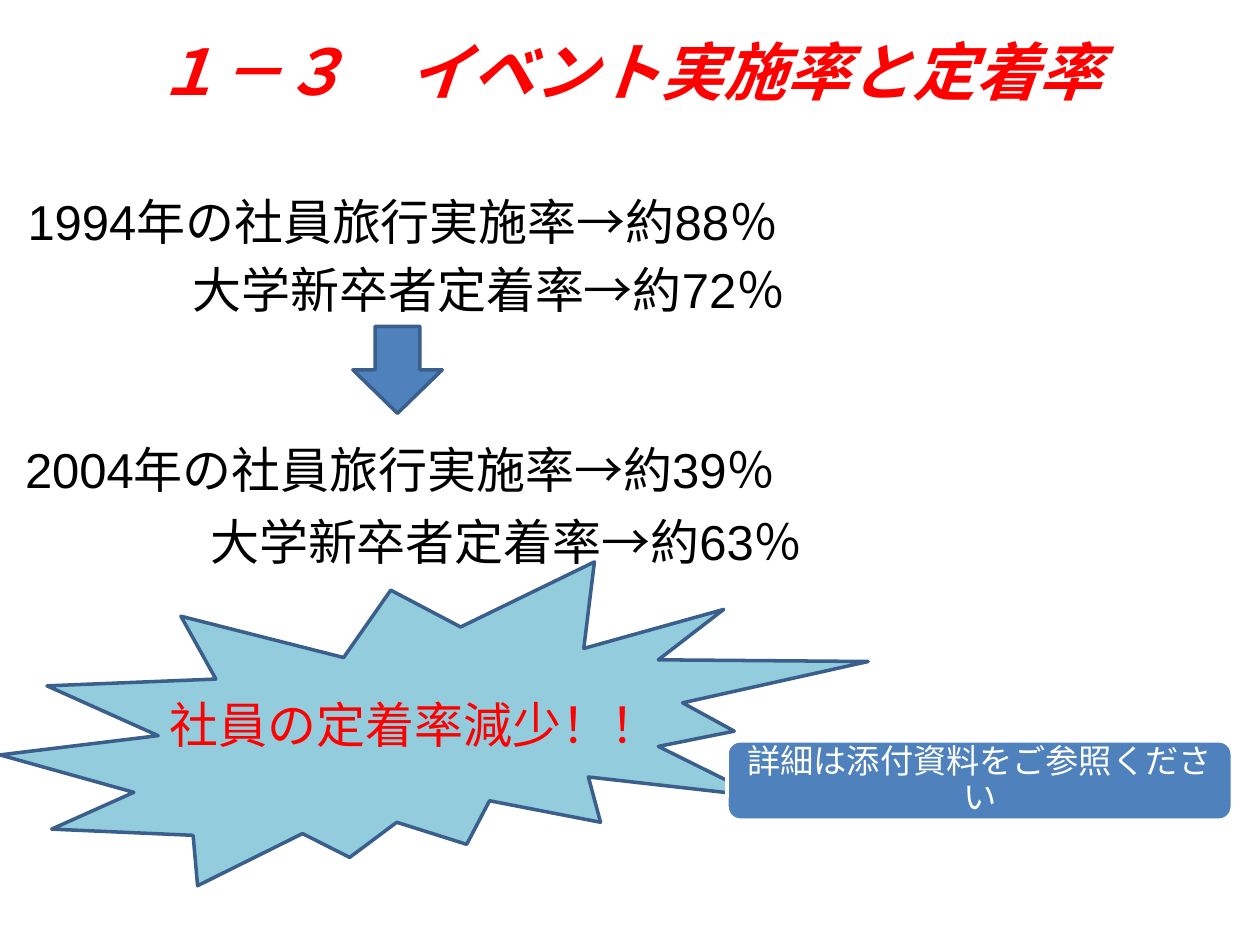
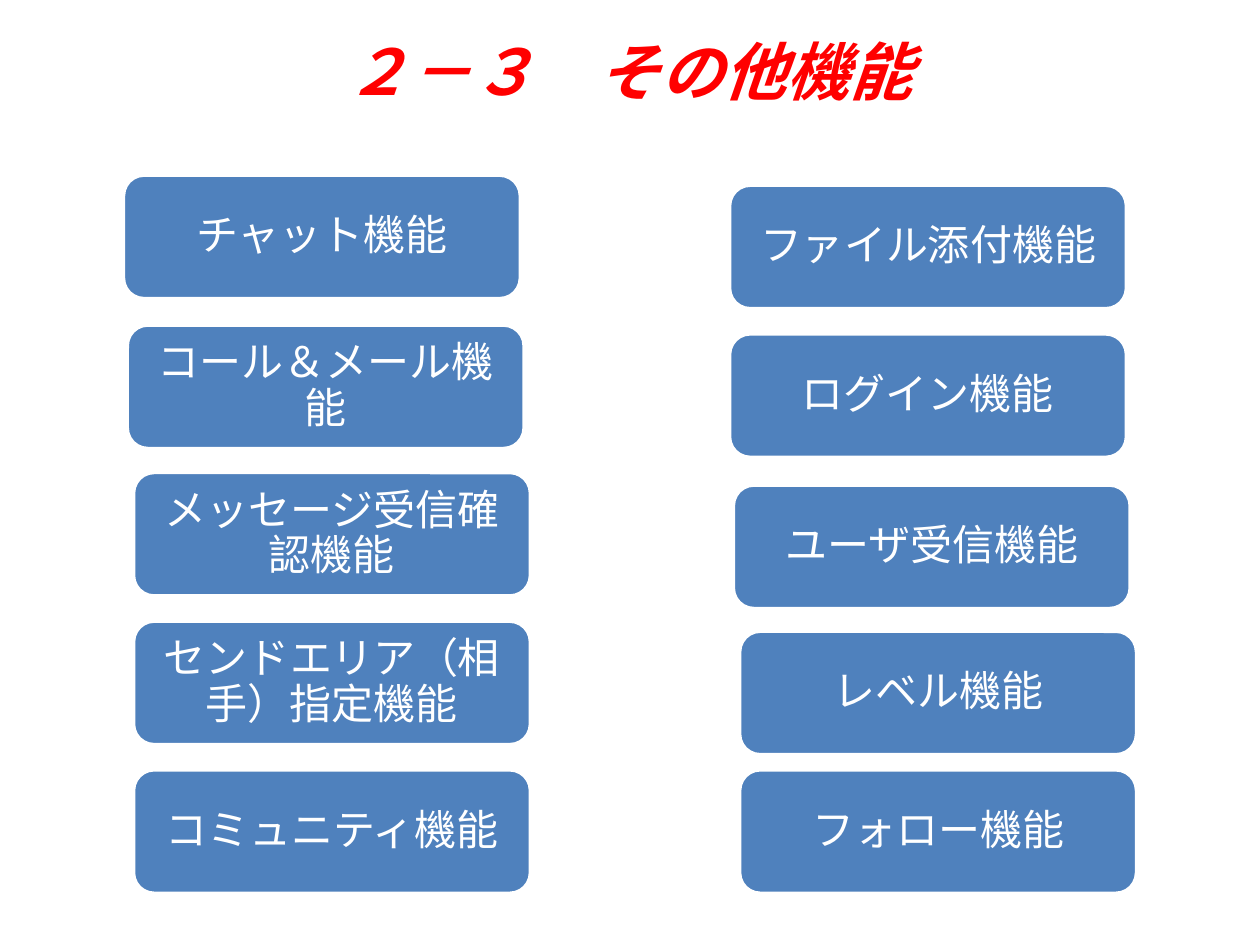
"""Builds two slides on event rates, staff retention and other app features."""
from pptx import Presentation
from pptx import util as u
from pptx.dml.color import RGBColor
from pptx.enum import shapes, text

RED, BLACK, WHITE = "FF0000", "000000", "FFFFFF"
BLUE, DARK_BLUE, AQUA = "4F81BD", "3A5F8C", "93CDDD"
HEADING_FONT, BODY_FONT = "Calibri", "Arial"

EVENT_TITLE = "１－３　イベント実施率と定着率"
RATES = [
    ("1994年の社員旅行実施率→約88％", 0.12, 1.47, 0),
    ("大学新卒者定着率→約72％", 0.13, 2.01, 1.3),
    ("2004年の社員旅行実施率→約39％", 0.1, 3.44, 0),
    ("大学新卒者定着率→約63％", 0.11, 4.01, 1.46),
]
CONCLUSION = "社員の定着率減少！！"
REFERENCE = "詳細は添付資料をご参照ください"

FEATURE_TITLE = "２－３　その他機能"
FEATURES = [
    ("チャット機能", 0.98, 1.39),
    ("コール＆メール機能", 1.01, 2.58),
    ("メッセージ受信確認機能", 1.06, 3.75),
    ("センドエリア（相手）指定機能", 1.06, 4.93),
    ("コミュニティ機能", 1.06, 6.11),
    ("ファイル添付機能", 5.79, 1.47),
    ("ログイン機能", 5.79, 2.65),
    ("ユーザ受信機能", 5.82, 3.85),
    ("レベル機能", 5.87, 5.01),
    ("フォロー機能", 5.87, 6.11),
]
FEATURE_SIZE = (3.15, 0.98)


def color(value):
    return RGBColor.from_string(value)


def write(shape, words, size, font, ink, centered=False, bold=None, indent=0):
    frame = shape.text_frame
    frame.word_wrap = True
    paragraph = frame.paragraphs[0]
    paragraph.alignment = text.PP_ALIGN.CENTER if centered else text.PP_ALIGN.LEFT
    if indent:
        paragraph._p.get_or_add_pPr().set("marL", str(u.Inches(indent)))
    run = paragraph.add_run()
    run.text = words
    run.font.size = u.Pt(size)
    run.font.name = font
    run.font.bold = run.font.italic = bold
    run.font.color.rgb = color(ink)
    return paragraph


def add_text(slide, box, words, size, font, ink, **style):
    shape = slide.shapes.add_textbox(*map(u.Inches, box))
    write(shape, words, size, font, ink, **style)
    return shape


def add_shape(slide, kind, box, fill, line):
    shape = slide.shapes.add_shape(kind, *map(u.Inches, box))
    shape.shadow.inherit = False
    shape.fill.solid()
    shape.fill.fore_color.rgb = color(fill)
    shape.line.color.rgb = color(line)
    shape.line.width = u.Pt(2)
    return shape


def add_card(slide, box, words, size, side_inset, top_inset):
    card = add_shape(slide, shapes.MSO_SHAPE.ROUNDED_RECTANGLE, box, BLUE, WHITE)
    frame = card.text_frame
    frame.margin_left = frame.margin_right = u.Inches(side_inset)
    frame.margin_top = frame.margin_bottom = u.Inches(top_inset)
    frame.vertical_anchor = text.MSO_ANCHOR.MIDDLE
    write(card, words, size, HEADING_FONT, WHITE, centered=True).line_spacing = 0.9


def add_titled_slide(presentation, title):
    slide = presentation.slides.add_slide(presentation.slide_layouts[6])
    add_text(slide, (0.27, 0.21, 9.45, 0.87), title, 36, HEADING_FONT, RED,
             centered=True, bold=True)
    return slide


def add_statement(slide, box, words, ink, indent=0):
    shape = add_text(slide, box, words, 28, BODY_FONT, ink, indent=indent)
    shape.text_frame.auto_size = text.MSO_AUTO_SIZE.SHAPE_TO_FIT_TEXT


def build_event_slide(presentation):
    slide = add_titled_slide(presentation, EVENT_TITLE)
    for words, left, top, indent in RATES:
        add_statement(slide, (left, top, 9.69, 0.57), words, BLACK, indent)
    add_shape(slide, shapes.MSO_SHAPE.DOWN_ARROW, (2.8, 2.59, 0.71, 0.69), BLUE, DARK_BLUE)
    add_shape(slide, shapes.MSO_SHAPE.EXPLOSION2, (0, 4.46, 6.89, 2.57), AQUA, DARK_BLUE)
    add_statement(slide, (1.25, 5.46, 4.17, 0.57), CONCLUSION, RED)
    add_card(slide, (5.77, 5.88, 4.01, 0.63), REFERENCE, 19, 0.08, 0.04)


def build_feature_slide(presentation):
    slide = add_titled_slide(presentation, FEATURE_TITLE)
    for words, left, top in FEATURES:
        add_card(slide, (left, top, *FEATURE_SIZE), words, 24, 0.1, 0.05)


def main():
    presentation = Presentation()
    presentation.slide_width = u.Inches(10)
    presentation.slide_height = u.Inches(7.5)
    build_event_slide(presentation)
    build_feature_slide(presentation)
    presentation.save("out.pptx")


if __name__ == "__main__":
    main()
